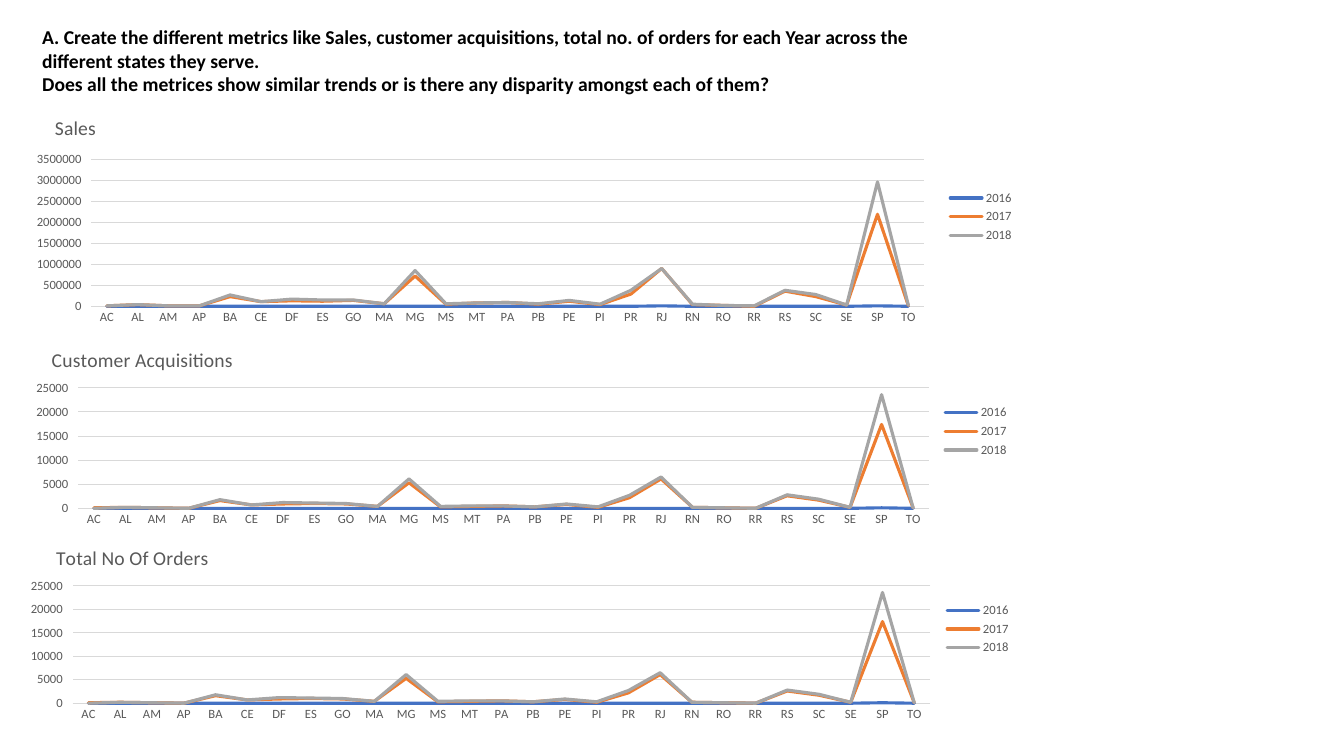
from dataclasses import dataclass

from lxml.etree import SubElement
from pptx import Presentation
from pptx.chart.chart import Chart
from pptx.chart.data import CategoryChartData
from pptx.dml.color import RGBColor
from pptx.enum.chart import XL_CHART_TYPE as ChartType
from pptx.enum.chart import XL_LEGEND_POSITION as LegendPosition
from pptx.enum.chart import XL_TICK_MARK as TickMark
from pptx.enum.text import MSO_AUTO_SIZE as AutoSize
from pptx.oxml.ns import qn
from pptx.slide import Slide
from pptx.text.text import Font
from pptx.util import Inches, Pt

SLIDE_WIDTH, SLIDE_HEIGHT = Inches(13.33), Inches(7.5)
FONT = "Calibri"
COLORS = {
    "heading": "000000",
    "label": "595959",
    "rule": "D9D9D9",
    "2016": "4472C4",
    "2017": "ED7D31",
    "2018": "A5A5A5",
}
STATES = ("AC AL AM AP BA CE DF ES GO MA MG MS MT PA PB PE PI PR "
          "RJ RN RO RR RS SC SE SP TO").split()
QUESTION = (
    "A. Create the different metrics like Sales, customer acquisitions, total no. of orders "
    "for each Year across the different states they serve.",
    "Does all the metrices show similar trends or is there any disparity amongst each of them?",
)
SALES = {
    "2016": [int(state in ("RJ", "SP")) for state in STATES],
    "2017": [1, 4, 1, 1, 23, 11, 13, 12, 14, 6, 72, 5, 8, 9, 5, 12, 4, 29, 90,
             4, 2, 0, 36, 23, 3, 219, 2],
    "2018": [1, 4, 1, 1, 27, 11, 17, 15, 15, 6, 85, 6, 8, 9, 6, 14, 5, 38, 90,
             5, 2, 1, 38, 28, 3, 296, 3],
}
ORDERS = {
    "2016": [int(state == "SP") for state in STATES],
    "2017": [1, 2, 1, 0, 16, 7, 9, 10, 9, 4, 53, 3, 4, 5, 3, 8, 2, 22, 61,
             2, 1, 0, 26, 17, 2, 174, 1],
    "2018": [0, 2, 1, 0, 18, 7, 12, 11, 10, 4, 61, 4, 5, 5, 3, 9, 3, 27, 65,
             2, 1, 0, 28, 19, 2, 236, 1],
}


@dataclass(frozen=True)
class Box:
    """Position and size in percent of the slide."""
    left: float
    top: float
    width: float
    height: float

    def emu(self) -> tuple[int, int, int, int]:
        """Give the box as slide lengths."""
        return (int(SLIDE_WIDTH * self.left / 100), int(SLIDE_HEIGHT * self.top / 100),
                int(SLIDE_WIDTH * self.width / 100), int(SLIDE_HEIGHT * self.height / 100))


@dataclass(frozen=True)
class Metric:
    """A yearly metric by state, with title and plot placed in shares of the chart."""
    title: str
    box: Box
    title_at: dict[str, float]
    plot_at: dict[str, float]
    unit: int
    years: dict[str, list[int]]


QUESTION_BOX = Box(2.4, 2.67, 69.75, 10.8)
METRICS = (
    Metric("Sales", Box(1.58, 13.47, 74.62, 30.4), {"x": 0.03, "y": 0.04},
           {"x": 0.07, "y": 0.25, "w": 0.83, "h": 0.64}, 10000, SALES),
    Metric("Customer Acquisitions", Box(1.35, 44, 74.47, 26.13), {"x": 0.03, "y": 0.05},
           {"x": 0.06, "y": 0.28, "w": 0.85, "h": 0.61}, 100, ORDERS),
    Metric("Total No Of Orders", Box(0.9, 70.27, 75.07, 25.87), {"x": 0.04, "y": 0.05},
           {"x": 0.06, "y": 0.28, "w": 0.85, "h": 0.6}, 100, ORDERS),
)


def color(name: str) -> RGBColor:
    """Look up a named colour."""
    return RGBColor.from_string(COLORS[name])


def style(font: Font, size: float, name: str, bold: bool = False) -> None:
    """Set face, size, colour and weight of a font."""
    font.name, font.size, font.bold = FONT, Pt(size), bold
    font.color.rgb = color(name)


def place(parent, index: int, shares: dict[str, float]) -> None:
    """Fix a chart part at shares of the chart's size."""
    for automatic in parent.findall(qn("c:layout")):
        parent.remove(automatic)
    layout = SubElement(parent, qn("c:layout"))
    parent.insert(index, layout)
    manual = SubElement(layout, qn("c:manualLayout"))
    if "w" in shares:
        SubElement(manual, qn("c:layoutTarget")).set("val", "inner")
    for side in ("x", "y"):
        SubElement(manual, qn(f"c:{side}Mode")).set("val", "edge")
    for side, share in shares.items():
        SubElement(manual, qn(f"c:{side}")).set("val", str(share))


def style_axes(chart: Chart) -> None:
    """Format the state axis, the value axis and its gridlines."""
    states, values = chart.category_axis, chart.value_axis
    for axis in (states, values):
        style(axis.tick_labels.font, 9, "label")
    states.major_tick_mark = TickMark.NONE
    values.major_tick_mark = TickMark.OUTSIDE
    values.format.line.fill.background()
    for line in (states.format.line, values.major_gridlines.format.line):
        line.color.rgb, line.width = color("rule"), Pt(0.75)


def add_metric(slide: Slide, metric: Metric) -> None:
    """Draw one metric as a line chart with a line per year."""
    data = CategoryChartData(number_format="General")
    data.categories = STATES
    for year, amounts in metric.years.items():
        data.add_series(year, [amount * metric.unit for amount in amounts])
    chart = slide.shapes.add_chart(ChartType.LINE, *metric.box.emu(), data).chart
    style(chart.font, 10, "heading")

    title = chart.chart_title
    title.include_in_layout = False
    title.text_frame.text = metric.title
    style(title.text_frame.paragraphs[0].font, 14, "label")
    place(title._element, 1, metric.title_at)
    place(chart._chartSpace.chart.plotArea, 0, metric.plot_at)

    chart.has_legend = True
    chart.legend.position = LegendPosition.RIGHT
    chart.legend.include_in_layout = False
    style(chart.legend.font, 9, "label")
    style_axes(chart)

    plot = chart.plots[0]
    plot.vary_by_categories = False
    for series in plot.series:
        series.smooth = False
        line = series.format.line
        line.color.rgb, line.width = color(series.name), Pt(2.25)
        line._get_or_add_ln().set("cap", "rnd")


def add_question(slide: Slide) -> None:
    """Write the question above the charts."""
    frame = slide.shapes.add_textbox(*QUESTION_BOX.emu()).text_frame
    frame.word_wrap = True
    frame.auto_size = AutoSize.SHAPE_TO_FIT_TEXT
    frame.text = "\n".join(QUESTION)
    for sentence in frame.paragraphs:
        style(sentence.font, 14, "heading", bold=True)


def main() -> None:
    """Build the slide and save it."""
    deck = Presentation()
    deck.slide_width, deck.slide_height = SLIDE_WIDTH, SLIDE_HEIGHT
    slide = deck.slides.add_slide(deck.slide_layouts[6])
    for metric in METRICS:
        add_metric(slide, metric)
    add_question(slide)
    deck.save("out.pptx")


if __name__ == "__main__":
    main()
